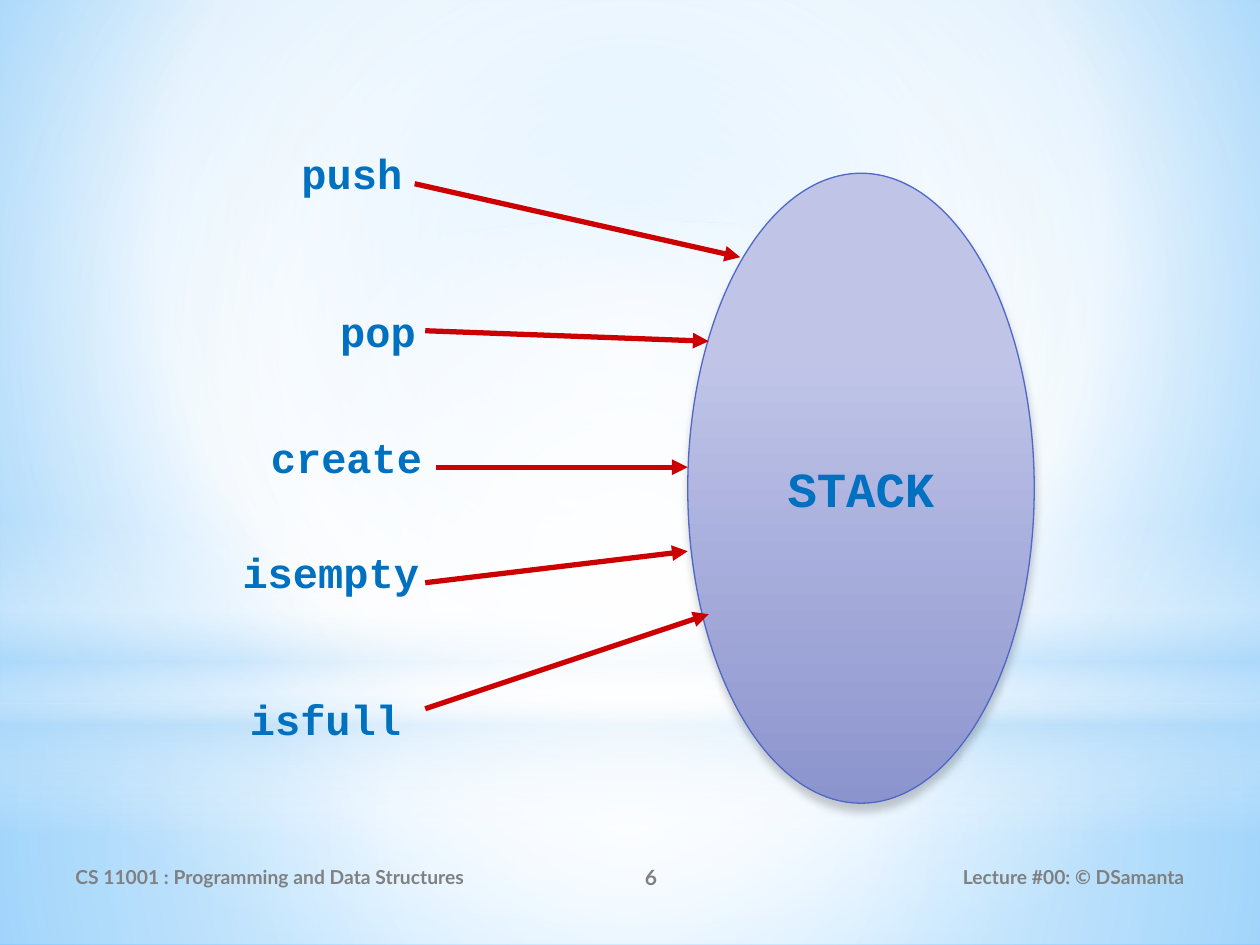
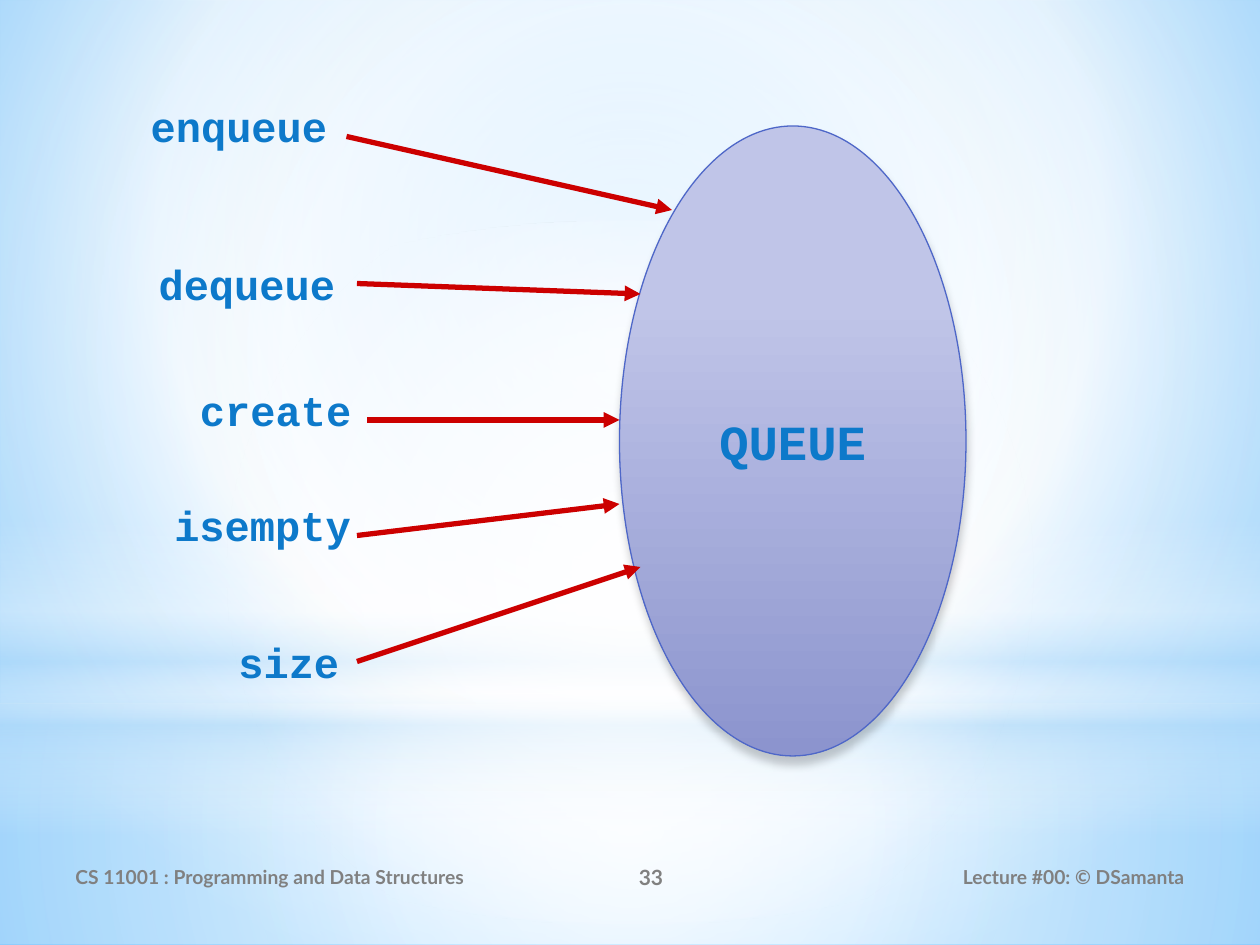
from lxml import etree
from pptx import Presentation, util as u
from pptx.dml.color import RGBColor
from pptx.enum import shapes, text
from pptx.oxml import ns


def paint_gradient(fill, holder, stops, focus=None):
    fill.gradient()
    gradient = holder.xpath(".//a:gradFill")[0]
    for child in list(gradient):
        gradient.remove(child)
    stop_list = etree.SubElement(gradient, ns.qn("a:gsLst"))
    for position, color, opacity in stops:
        stop = etree.SubElement(stop_list, ns.qn("a:gs"), pos=str(position * 1000))
        tone = etree.SubElement(stop, ns.qn("a:srgbClr"), val=color)
        etree.SubElement(tone, ns.qn("a:alpha"), val=str(opacity * 1000))
    if focus:
        circle = etree.SubElement(gradient, ns.qn("a:path"), path="circle")
        sides = {side: str(share * 1000) for side, share in zip("ltrb", focus)}
        etree.SubElement(circle, ns.qn("a:fillToRect"), **sides)
    else:
        etree.SubElement(gradient, ns.qn("a:lin"), ang="5400000", scaled="0")


def write(shape, words, style, color, alignment, frame_style):
    frame = shape.text_frame
    for name, value in frame_style.items():
        setattr(frame, name, value)
    paragraph = frame.paragraphs[0]
    paragraph.text = words
    paragraph.alignment = alignment
    for name, value in style.items():
        setattr(paragraph.font, name, value)
    paragraph.font.color.rgb = RGBColor.from_string(color)


presentation = Presentation()
presentation.slide_width = u.Inches(10)
presentation.slide_height = u.Inches(7.5)
cell = presentation.slide_width // 240

align = text.PP_ALIGN
footer_style = {"name": "Lato", "size": u.Pt(11), "bold": True}
number_style = {**footer_style, "size": u.Pt(12)}
label_style = {"name": "Courier New", "size": u.Pt(24), "bold": True}
structure_style = {**label_style, "size": u.Pt(28)}
middle = {"word_wrap": True, "vertical_anchor": text.MSO_ANCHOR.MIDDLE}
top = {"word_wrap": True, "vertical_anchor": text.MSO_ANCHOR.TOP}
unwrapped = {**middle, "word_wrap": False}

white, sky = "FFFFFF", "B4DCFA"
center = (50, 50, 50, 50)
rectangle, oval = shapes.MSO_SHAPE.RECTANGLE, shapes.MSO_SHAPE.OVAL
glows = [
    (rectangle, (0, 134, 240, 46), [(0, white, 91), (37, white, 76), (100, sky, 79)], center),
    (rectangle, (0, 0, 240, 134), [(0, white, 89), (48, white, 62), (100, sky, 79)], center),
    (rectangle, (0, 99, 240, 60),
     [(0, white, 0), (29, white, 30), (45, sky, 40),
      (55, white, 26), (65, sky, 60), (100, white, 0)], None),
    (oval, (0, 42, 240, 134), [(0, white, 100), (56, white, 0)], center),
]

arrows = [
    ((-52, 2), (10, 16)),
    ((-50, 30), (4, 32)),
    ((-48, 56), (0, 56)),
    ((-50, 78), (0, 72)),
    ((-50, 102), (4, 84)),
]

structures = [
    ("STACK", "6", "0070C0", 131, 33, [
        ("push", 51, 27, 32),
        ("pop", 53, 57, 38),
        ("create", 49, 81, 34),
        ("isempty", 43, 103, 40),
        ("isfull", 43, 131, 38),
    ]),
    ("QUEUE", "33", "0D79CA", 118, 24, [
        ("enqueue", 25, 18, 41),
        ("dequeue", 26, 48, 42),
        ("create", 35, 72, 35),
        ("isempty", 30, 94, 40),
        ("size", 40, 120, 30),
    ]),
]

master = presentation.slide_master
paint_gradient(master.background.fill, master.element,
               [(0, "9ED5FF", 100), (60, white, 100), (100, "5BB9FF", 100)],
               (20, 10, 20, 60))
blank = presentation.slide_layouts[6]
slides = [presentation.slides.add_slide(blank) for structure in structures]

for index, (kind, box, stops, focus) in enumerate(glows):
    glow = slides[0].shapes.add_shape(kind, *[cell * length for length in box])
    glow.shadow.inherit = False
    glow.line.fill.background()
    paint_gradient(glow.fill, glow.element, stops, focus)
    glow.element.xpath(".//p:cNvPr")[0].set("id", str(100 + index))
    master.shapes.element.insert(2 + index, glow.element)

for slide, (structure, number, color, left, upper, operations) in zip(slides, structures):
    footers = [
        ("CS 11001 : Programming and Data Structures", 12, 88, align.LEFT, footer_style),
        (number, 100, 48, align.CENTER, number_style),
        ("Lecture #00: © DSamanta", 162, 66, align.RIGHT, footer_style),
    ]
    for words, column, width, alignment, style in footers:
        footer = slide.shapes.add_textbox(cell * column, cell * 162, cell * width, cell * 10)
        write(footer, words, style, "808080", alignment, middle)

    ellipse = slide.shapes.add_shape(oval, cell * left, cell * upper, cell * 66, cell * 120)
    paint_gradient(ellipse.fill, ellipse.element, [(28, "C0C5E8", 100), (100, "8C94CE", 100)])
    ellipse.line.color.rgb = RGBColor.from_string("4E67C8")
    ellipse.line.width = u.Pt(0.75)
    ellipse.shadow.inherit = False
    effects = ellipse.element.xpath(".//a:effectLst")[0]
    shadow = etree.SubElement(effects, ns.qn("a:outerShdw"), blurRad=str(u.Pt(5)),
                              dist=str(u.Pt(4)), dir="5400000", rotWithShape="0")
    shade = etree.SubElement(shadow, ns.qn("a:srgbClr"), val="000000")
    etree.SubElement(shade, ns.qn("a:alpha"), val="20000")
    write(ellipse, structure, structure_style, color, align.CENTER, unwrapped)

    for (start_column, start_row), (end_column, end_row) in arrows:
        arrow = slide.shapes.add_connector(
            shapes.MSO_CONNECTOR.STRAIGHT,
            cell * (left + start_column), cell * (upper + start_row),
            cell * (left + end_column), cell * (upper + end_row))
        arrow.line.color.rgb = RGBColor.from_string("CC0000")
        arrow.line.width = u.Pt(3)
        etree.SubElement(arrow.line._get_or_add_ln(), ns.qn("a:tailEnd"), type="triangle")
        etree.SubElement(arrow.element.spPr, ns.qn("a:effectLst"))

    for operation, column, row, width in operations:
        label = slide.shapes.add_textbox(cell * column, cell * row, cell * width, cell * 12)
        write(label, operation, label_style, color, align.CENTER, top)

presentation.save("out.pptx")
